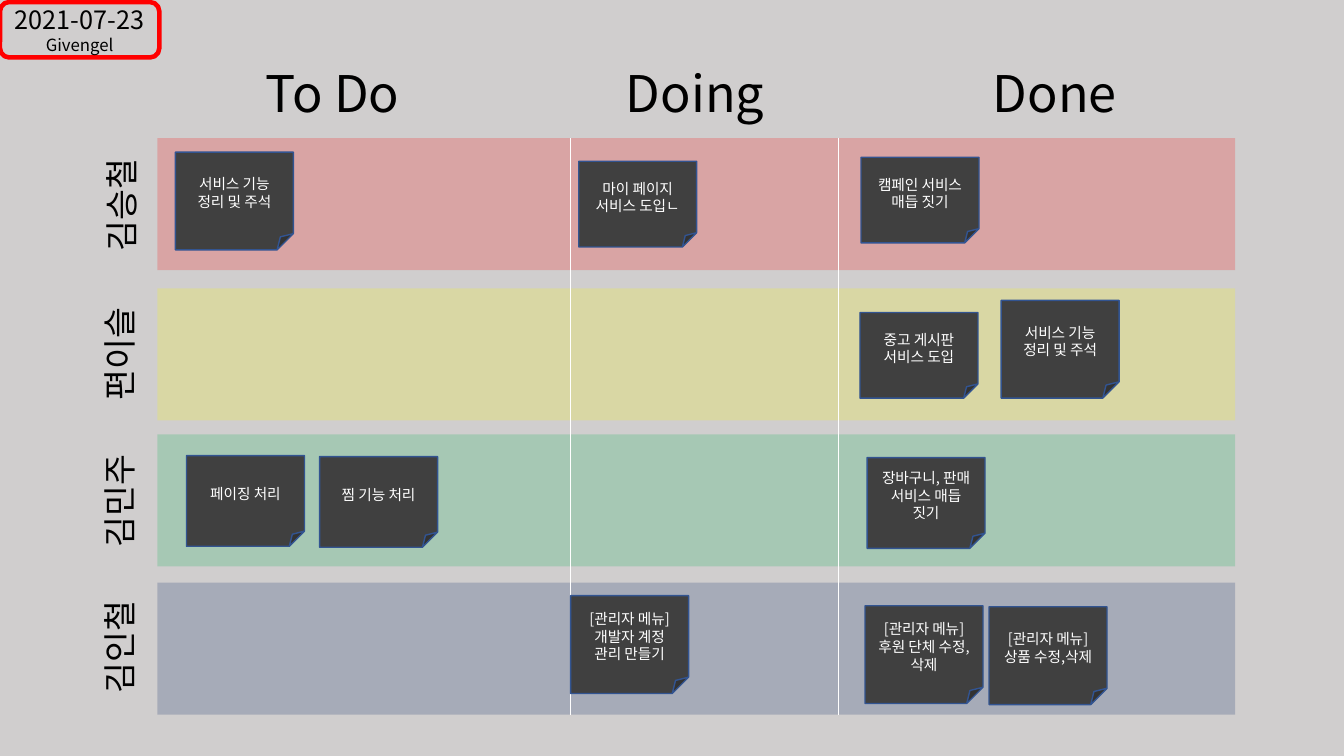
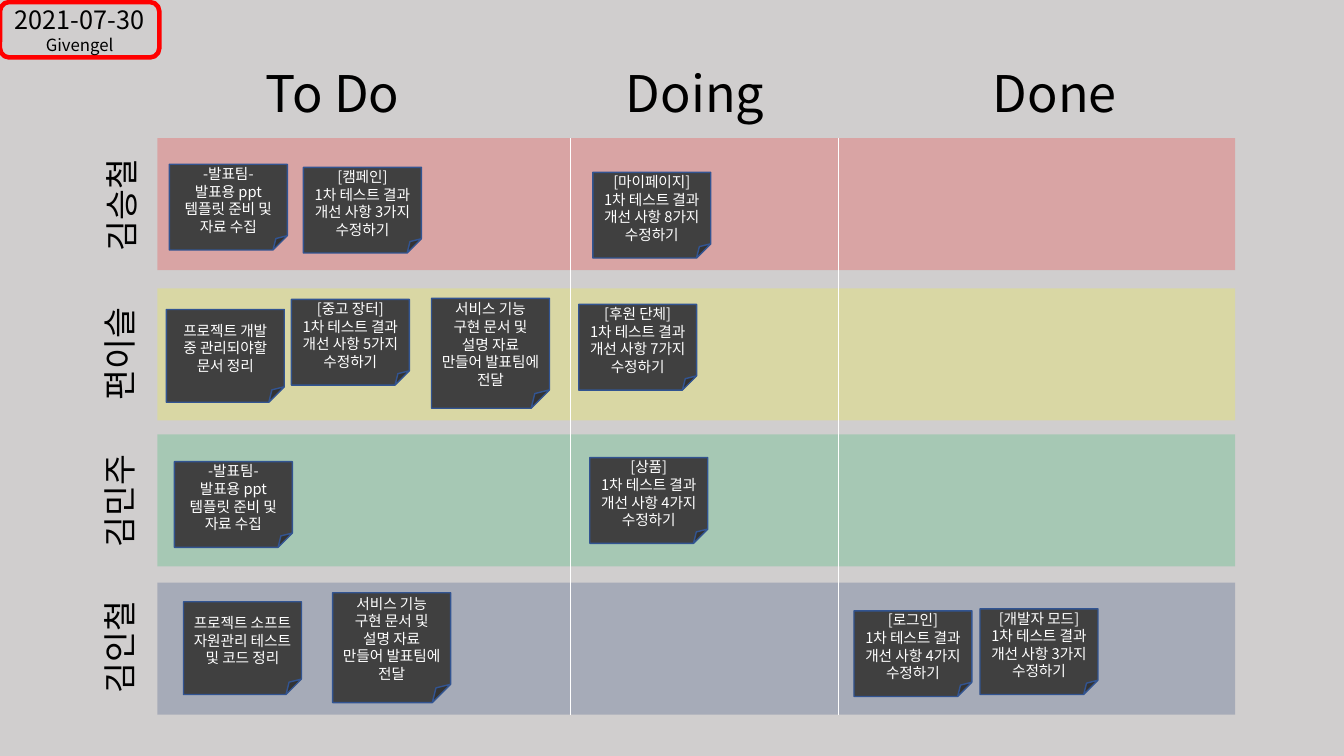
"""Builds two weekly task boards with sticky notes for four team members."""
from lxml.etree import SubElement
from pptx import Presentation
from pptx.dml.color import RGBColor
from pptx.enum.shapes import MSO_CONNECTOR as Connector, MSO_SHAPE as Shape
from pptx.enum.text import MSO_ANCHOR as Anchor, MSO_AUTO_SIZE as AutoSize, PP_ALIGN as Align
from pptx.oxml.ns import qn
from pptx.util import Inches, Pt

FONT = "Noto Sans CJK KR"
BACKGROUND = RGBColor(0xD0, 0xCE, 0xCE)
BLACK = RGBColor(0, 0, 0)
WHITE = RGBColor(0xFF, 0xFF, 0xFF)
RED = RGBColor(0xFF, 0, 0)
YELLOW = RGBColor(0xFF, 0xFF, 0)
GREEN = RGBColor(0, 0xB0, 0x50)
NAVY = RGBColor(0, 0x20, 0x60)
NOTE_FILL = RGBColor(0x40, 0x40, 0x40)
NOTE_LINE = RGBColor(0x32, 0x54, 0x91)

TEAM = "Givengel"
HEADINGS = [("To Do", 2.54, 1.53), ("Doing", 6.11, 1.58), ("Done", 9.75, 1.43)]
MEMBERS = [
    ("김승철", RED, 1.37, 0.64, 1.78),
    ("편이슬", YELLOW, 2.86, 0.62, 3.26),
    ("김민주", GREEN, 4.31, 0.62, 4.72),
    ("김인철", NAVY, 5.78, 0.62, 6.17),
]
BAND_LEFT, BAND_WIDTH, BAND_HEIGHT = 1.56, 10.69, 1.31
DIVIDERS = [5.66, 8.32]
NOTE_WIDTH = 1.17

ADMIN = "[관리자 메뉴]"
TIDY = ["서비스 기능 정리 및 주석"]
SLIDES_TASK = ["-발표팀-", "발표용 ppt 템플릿 준비 및 자료 수집"]
HANDOVER = ["서비스 기능 구현 문서 및 설명 자료 만들어 발표팀에 전달"]


def test_result(topic, count):
    return [f"[{topic}]", f"1차 테스트 결과 개선 사항 {count}가지 수정하기"]


BOARDS = [
    ("2021-07-23", [
        (1.74, 1.51, 0.97, TIDY),
        (5.74, 1.6, 0.85, ["마이 페이지 서비스 도입ㄴ"]),
        (8.54, 1.56, 0.85, ["캠페인 서비스 매듭 짓기"]),
        (8.53, 3.1, 0.85, ["중고 게시판 서비스 도입"]),
        (9.93, 2.98, 0.97, TIDY),
        (1.85, 4.52, 0.9, ["페이징 처리"]),
        (3.17, 4.53, 0.9, ["찜 기능 처리"]),
        (8.6, 4.54, 0.9, ["장바구니, 판매 서비스 매듭 짓기"]),
        (5.66, 5.91, 0.97, [ADMIN, "개발자 계정 관리 만들기"]),
        (8.58, 6.01, 0.97, [ADMIN, "후원 단체 수정, 삭제"]),
        (9.81, 6.02, 0.97, [ADMIN, "상품 수정,삭제"]),
    ]),
    ("2021-07-30", [
        (1.68, 1.63, 0.85, SLIDES_TASK),
        (3.01, 1.66, 0.85, test_result("캠페인", 3)),
        (5.88, 1.71, 0.85, test_result("마이페이지", 8)),
        (1.65, 3.07, 0.92, ["프로젝트 개발 중 관리되야할 문서 정리"]),
        (2.89, 2.97, 0.85, test_result("중고 장터", 5)),
        (4.28, 2.96, 1.09, HANDOVER),
        (5.74, 3.02, 0.85, test_result("후원 단체", 7)),
        (1.73, 4.58, 0.85, SLIDES_TASK),
        (5.85, 4.54, 0.85, test_result("상품", 4)),
        (1.82, 5.97, 0.92, ["프로젝트 소프트 자원관리 테스트 및 코드 정리"]),
        (3.3, 5.88, 1.09, HANDOVER),
        (8.47, 6.06, 0.85, test_result("로그인", 4)),
        (9.72, 6.04, 0.85, test_result("개발자 모드", 3)),
    ]),
]


def write(box, lines, sizes, color, align):
    frame = box.text_frame
    frame.text = "\n".join(lines)
    for para, size in zip(frame.paragraphs, sizes):
        para.alignment = align
        for span in para.runs:
            span.font.name = FONT
            span.font.size = Pt(size)
            span.font.color.rgb = color
            SubElement(span.font._element, qn("a:ea")).set("typeface", FONT)


def add_shape(page, kind, place, fill=None, line=None, width=1):
    box = page.shapes.add_shape(kind, *map(Inches, place))
    box.shadow.inherit = False
    if fill is None:
        box.fill.background()
    else:
        box.fill.solid()
        box.fill.fore_color.rgb = fill
    if line is None:
        box.line.fill.background()
    else:
        box.line.color.rgb = line
        box.line.width = Pt(width)
    box.text_frame.vertical_anchor = Anchor.MIDDLE
    box.text_frame.word_wrap = True
    return box


def add_label(page, text, place, size, rotation=0):
    box = page.shapes.add_textbox(*map(Inches, place))
    box.rotation = rotation
    write(box, [text], [size], BLACK, Align.LEFT)
    box.text_frame.word_wrap = False
    box.text_frame.auto_size = AutoSize.SHAPE_TO_FIT_TEXT


def add_band(page, color, top):
    place = (BAND_LEFT, top, BAND_WIDTH, BAND_HEIGHT)
    band = add_shape(page, Shape.RECTANGLE, place, color)
    tint = band.fill._xPr.find(qn("a:solidFill"))[0]
    SubElement(tint, qn("a:alpha")).set("val", "20000")


def add_divider(page, left):
    top, bottom = MEMBERS[0][2], MEMBERS[-1][2] + BAND_HEIGHT
    ends = map(Inches, (left, top, left, bottom))
    divider = page.shapes.add_connector(Connector.STRAIGHT, *ends)
    divider.line.color.rgb = WHITE
    divider.line.width = Pt(0.5)
    SubElement(divider._element.spPr, qn("a:effectLst"))


def add_board(deck, date, notes):
    page = deck.slides.add_slide(deck.slide_layouts[6])
    page.background.fill.solid()
    page.background.fill.fore_color.rgb = BACKGROUND
    for name, color, top, label_left, label_top in MEMBERS:
        add_band(page, color, top)
        add_label(page, name, (label_left, label_top, 1.12, 0.5), 24, 270)
    for heading, left, width in HEADINGS:
        add_label(page, heading, (left, 0.57, width, 0.71), 36)
    for left in DIVIDERS:
        add_divider(page, left)
    badge = add_shape(page, Shape.ROUNDED_RECTANGLE, (0, 0.02, 1.58, 0.55), None, RED, 3.25)
    write(badge, [date, TEAM], [18, 12], BLACK, Align.CENTER)
    for left, top, height, lines in notes:
        place = (left, top, NOTE_WIDTH, height)
        note = add_shape(page, Shape.FOLDED_CORNER, place, NOTE_FILL, NOTE_LINE)
        write(note, lines, [10.5] * len(lines), WHITE, Align.CENTER)


deck = Presentation()
deck.slide_width, deck.slide_height = Inches(13.33), Inches(7.5)
for date, notes in BOARDS:
    add_board(deck, date, notes)
deck.save("out.pptx")
